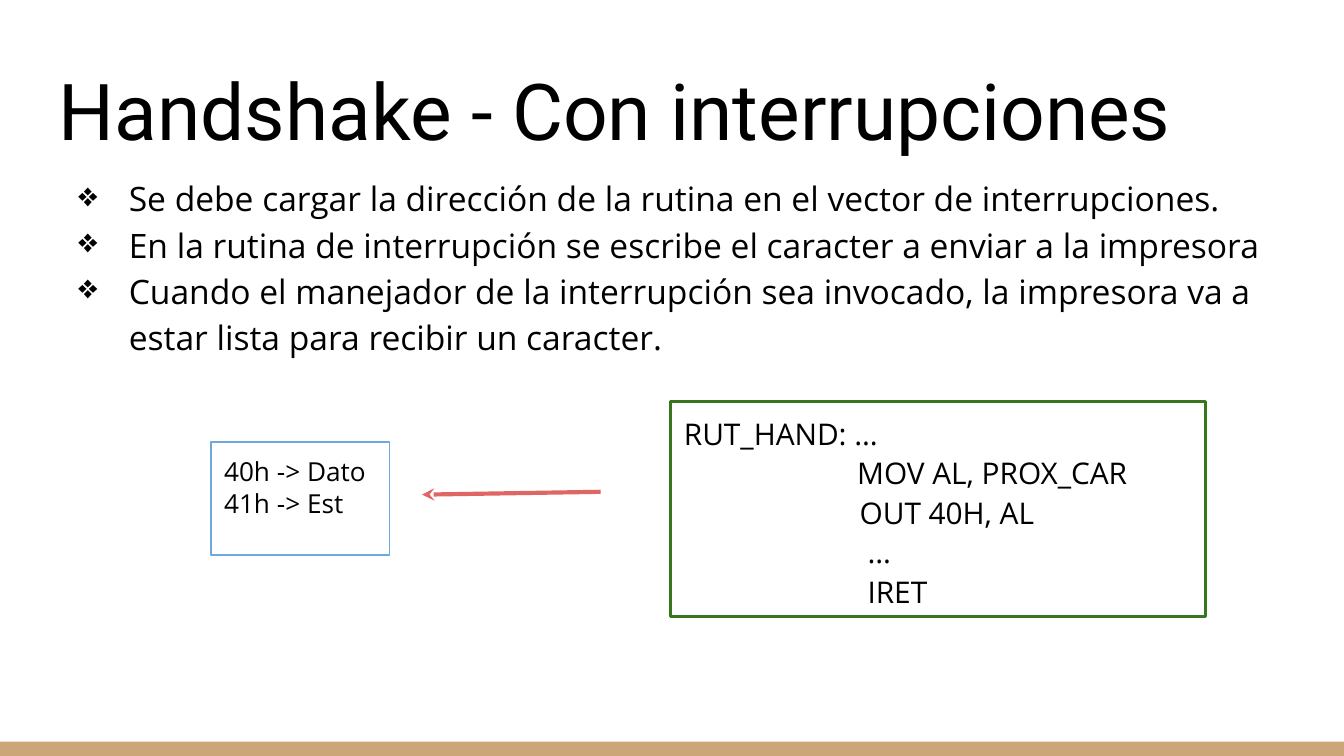
"""Builds a slide on the interrupt-driven printer handshake."""
from pptx import Presentation
from pptx.dml.color import RGBColor
from pptx.enum.shapes import MSO_CONNECTOR, MSO_SHAPE
from pptx.enum.text import MSO_ANCHOR as Anchor, PP_ALIGN as Align
from pptx.oxml.ns import qn
from pptx.util import Pt
from lxml.etree import SubElement

BULLETS = [
    "Se debe cargar la dirección de la rutina en el vector de interrupciones.",
    "En la rutina de interrupción se escribe el caracter a enviar a la impresora",
    "Cuando el manejador de la interrupción sea invocado, la impresora va a "
    "estar lista para recibir un caracter.",
]
ROUTINE = ["RUT_HAND: …", "MOV AL, PROX_CAR", "OUT 40H, AL", "…", "IRET"]
ROUTINE_INDENTS = [0, 92.8, 94.2, 98.4, 98.4]
PORTS = ["40h -> Dato", "41h -> Est"]


def color(value):
    return RGBColor.from_string(value)


def write(shape, lines, size, font="Open Sans", anchor=Anchor.TOP, indents=None,
          hanging=0, bullet=None, spacing=1.0, gap=0):
    frame = shape.text_frame
    frame.word_wrap = True
    frame.vertical_anchor = anchor
    frame.margin_left = frame.margin_right = Pt(7.2)
    frame.margin_top = frame.margin_bottom = Pt(7.2)
    for index, line in enumerate(lines):
        paragraph = frame.paragraphs[0] if index == 0 else frame.add_paragraph()
        paragraph.alignment = Align.LEFT
        paragraph.line_spacing = spacing
        paragraph.space_before = Pt(gap if index else 0)
        run = paragraph.add_run()
        run.text = line
        run.font.name = font
        run.font.size = Pt(size)
        run.font.color.rgb = color("000000")
        properties = paragraph._p.get_or_add_pPr()
        properties.set("marL", str(Pt(indents[index] if indents else 0)))
        properties.set("indent", str(Pt(-hanging)))
        if bullet:
            SubElement(properties, qn("a:buChar")).set("char", bullet)


class Deck:
    def __init__(self, width, height):
        self.presentation = Presentation()
        self.presentation.slide_width = Pt(width)
        self.presentation.slide_height = Pt(height)
        self.slide = self.presentation.slides.add_slide(
            self.presentation.slide_layouts[6])

    def text_box(self, left, top, width, height):
        return self.slide.shapes.add_textbox(Pt(left), Pt(top), Pt(width), Pt(height))

    def rectangle(self, left, top, width, height, fill=None, line=None, weight=1):
        shape = self.slide.shapes.add_shape(
            MSO_SHAPE.RECTANGLE, Pt(left), Pt(top), Pt(width), Pt(height))
        shape.shadow.inherit = False
        if fill:
            shape.fill.solid()
            shape.fill.fore_color.rgb = color(fill)
        else:
            shape.fill.background()
        if line:
            shape.line.color.rgb = color(line)
            shape.line.width = Pt(weight)
        else:
            shape.line.fill.background()
        return shape

    def arrow(self, start, end, line, weight):
        connector = self.slide.shapes.add_connector(
            MSO_CONNECTOR.STRAIGHT, *map(Pt, start + end))
        connector.line.color.rgb = color(line)
        connector.line.width = Pt(weight)
        SubElement(connector.line._get_or_add_ln(), qn("a:tailEnd")).set("type", "stealth")
        SubElement(connector._element.spPr, qn("a:effectLst"))
        return connector


def main():
    deck = Deck(720, 405)
    deck.rectangle(0, 397.4, 720, 7.6, fill="CCA677")

    title = deck.text_box(24.5, 25.2, 671, 65.5)
    write(title, ["Handshake - Con interrupciones"], 42, font="Roboto",
          anchor=Anchor.BOTTOM)

    body = deck.text_box(25.9, 85, 671, 281.5)
    write(body, BULLETS, 18, indents=[36] * len(BULLETS), hanging=27,
          bullet="❖", spacing=1.15)

    routine = deck.rectangle(359.3, 215.3, 286.6, 115.2, line="38761D", weight=1.5)
    write(routine, ROUTINE, 16, indents=ROUTINE_INDENTS, gap=2)

    deck.arrow((321.8, 263.5), (226.1, 265), "E06666", 2.25)

    ports = deck.rectangle(113, 236.9, 95.8, 60.5, line="6FA8DC", weight=0.75)
    write(ports, PORTS, 14)

    deck.presentation.save("out.pptx")


if __name__ == "__main__":
    main()
